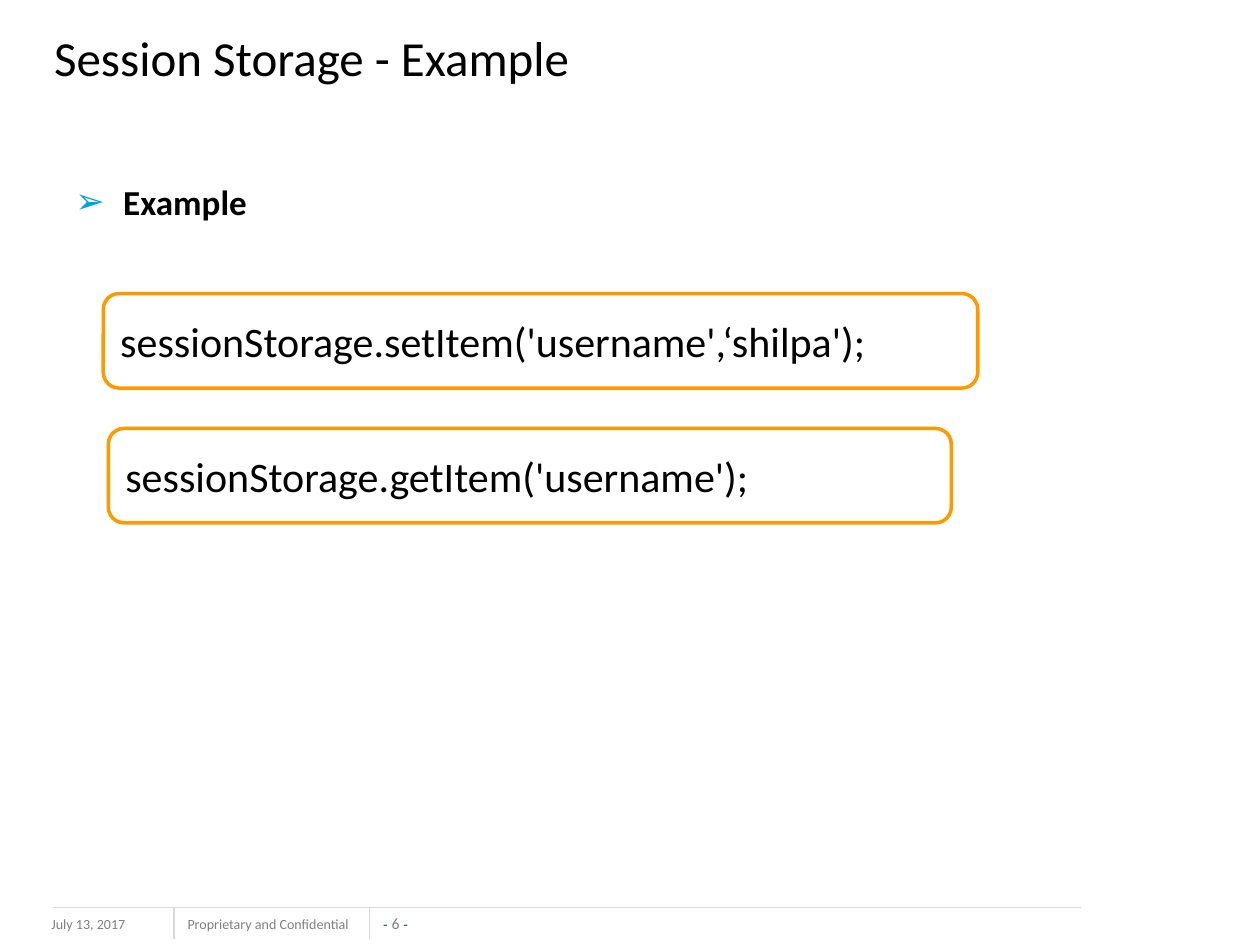
from lxml import etree
from pptx import Presentation
from pptx.dml.color import RGBColor
from pptx.enum.shapes import MSO_CONNECTOR, MSO_SHAPE
from pptx.enum.text import MSO_ANCHOR, PP_ALIGN
from pptx.oxml.ns import qn
from pptx.util import Inches, Pt

ROUND = MSO_SHAPE.ROUNDED_RECTANGLE
LINE = MSO_CONNECTOR.STRAIGHT
TOP, MIDDLE, BOTTOM = MSO_ANCHOR.TOP, MSO_ANCHOR.MIDDLE, MSO_ANCHOR.BOTTOM
LEFT, CENTER = PP_ALIGN.LEFT, PP_ALIGN.CENTER
WIDE, HIGH = Inches(10), Inches(7.5)
COLS, ROWS = 100, 75
RULE, EDGE = 72, 74.5
BLACK, WHITE, GRAY, PALE = "000000", "FFFFFF", "808080", "D9D9D9"
NAVY, ORANGE, BLUE = "1F497D", "FF9900", "00A1E4"


def color(code):
    return RGBColor.from_string(code)


def grid(*cells):
    return [int(n * (HIGH / ROWS if i % 2 else WIDE / COLS)) for i, n in enumerate(cells)]


def style(run, size, code=BLACK, bold=False, face="Calibri"):
    font = run.font
    font.name, font.size, font.bold = face, Pt(size), bold
    font.color.rgb = color(code)


def write(shape, text, size, code=BLACK, bold=False, anchor=TOP, wrap=True):
    frame = shape.text_frame
    frame.text = text
    frame.word_wrap = wrap
    frame.vertical_anchor = anchor
    para = frame.paragraphs[0]
    para.alignment = LEFT
    style(para.runs[0], size, code, bold)
    return para


def add_title(slide, text):
    title = slide.shapes.title
    title.left, title.top, title.width, title.height = grid(3.3, 0.2, 90, 8.7)
    write(title, text, 28, anchor=MIDDLE)


def add_point(slide, text):
    box = slide.shapes.add_textbox(*grid(5, 13.8, 90, 54.4))
    para = write(box, text, 20, bold=True)
    props = para._p.get_or_add_pPr()
    props.set("marL", str(Inches(0.38)))
    props.set("indent", str(-Inches(0.38)))
    tint = etree.SubElement(props, qn("a:buClr"))
    etree.SubElement(tint, qn("a:srgbClr"), val=BLUE)
    etree.SubElement(props, qn("a:buFont"), typeface="Arial")
    etree.SubElement(props, qn("a:buChar"), char="➢")


def add_code(slide, cells, text):
    box = slide.shapes.add_shape(ROUND, *grid(*cells))
    box.shadow.inherit = False
    box.fill.solid()
    box.fill.fore_color.rgb = color(WHITE)
    box.line.color.rgb = color(ORANGE)
    box.line.width = Pt(2)
    write(box, text, 24, anchor=MIDDLE)


def add_rule(slide, *ends):
    rule = slide.shapes.add_connector(LINE, *grid(*ends))
    rule.line.color.rgb = color(PALE)
    rule.line.width = Pt(0.75)
    etree.SubElement(rule._element.spPr, qn("a:effectLst"))


def add_note(slide, cells, text, wrap=True):
    write(slide.shapes.add_textbox(*grid(*cells)), text, 8, GRAY, wrap=wrap)


def add_page(slide, cells):
    frame = slide.shapes.add_textbox(*grid(*cells)).text_frame
    frame.margin_left = frame.margin_right = 0
    frame.margin_top = frame.margin_bottom = 0
    frame.word_wrap = False
    frame.vertical_anchor = BOTTOM
    para = frame.paragraphs[0]
    para.alignment = CENTER
    for text, size, code, face in (("- ", 8, NAVY, "Arial"),
                                   ("6 ", 9, GRAY, "Calibri"),
                                   ("-", 8, NAVY, "Arial")):
        run = para.add_run()
        run.text = text
        style(run, size, code, face=face)


def add_foot(slide):
    add_note(slide, (3.1, 72.2, 13.3, 2.5), "July 13, 2017")
    add_note(slide, (13.9, 72.2, 15.7, 2.4), "Proprietary and Confidential", False)
    add_page(slide, (30.1, 72.5, 2.6, 1.5))
    add_rule(slide, 85.8, RULE, 4.2, RULE)
    for col in (13.8, 29.3):
        add_rule(slide, col, RULE, col, EDGE)


def main():
    deck = Presentation()
    deck.slide_width, deck.slide_height = WIDE, HIGH
    slide = deck.slides.add_slide(deck.slide_layouts[5])
    add_foot(slide)
    add_title(slide, "Session Storage - Example")
    add_point(slide, "Example")
    add_code(slide, (8.2, 23.3, 69.4, 7.5), "sessionStorage.setItem('username',‘shilpa');")
    add_code(slide, (8.6, 34, 66.9, 7.5), "sessionStorage.getItem('username');")
    deck.save("out.pptx")


if __name__ == "__main__":
    main()
